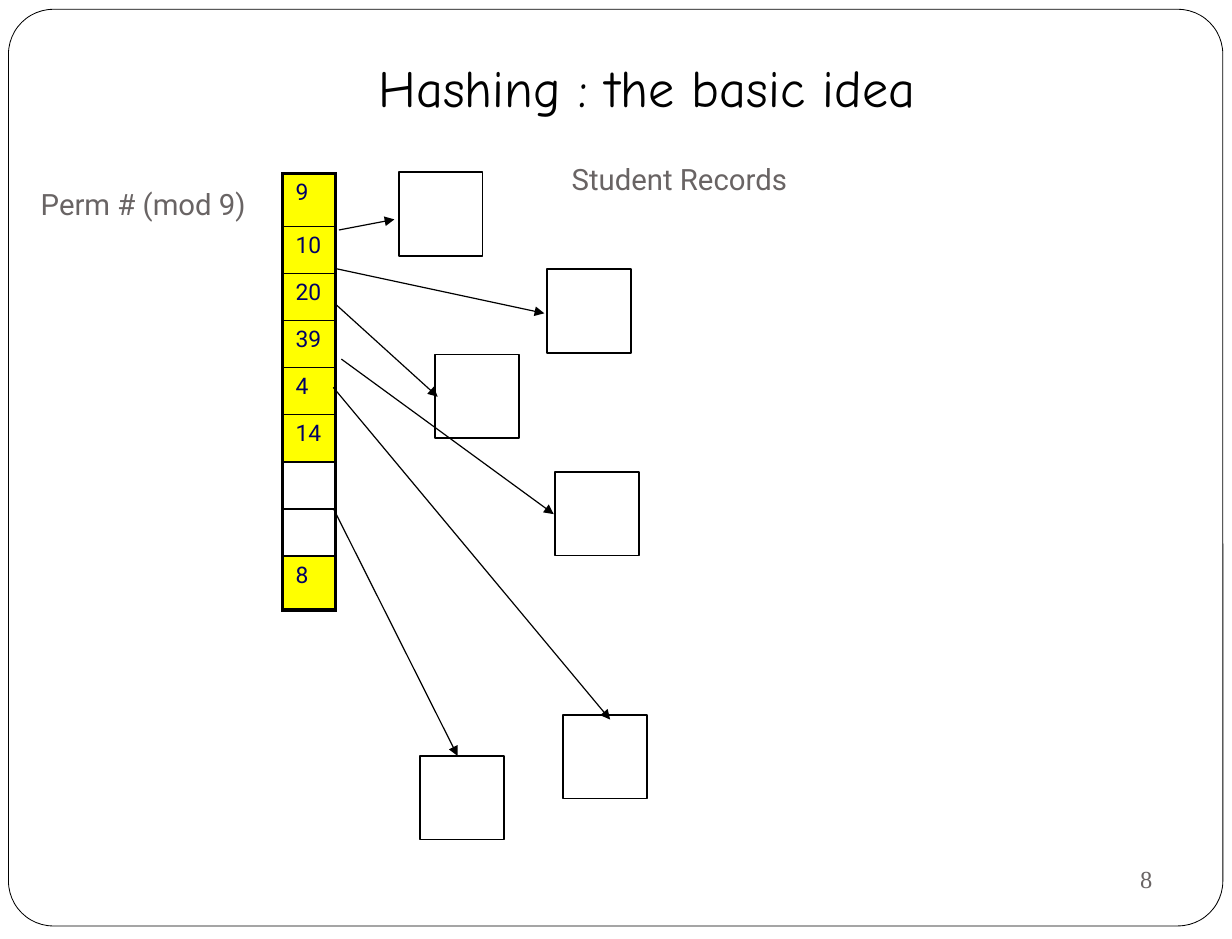
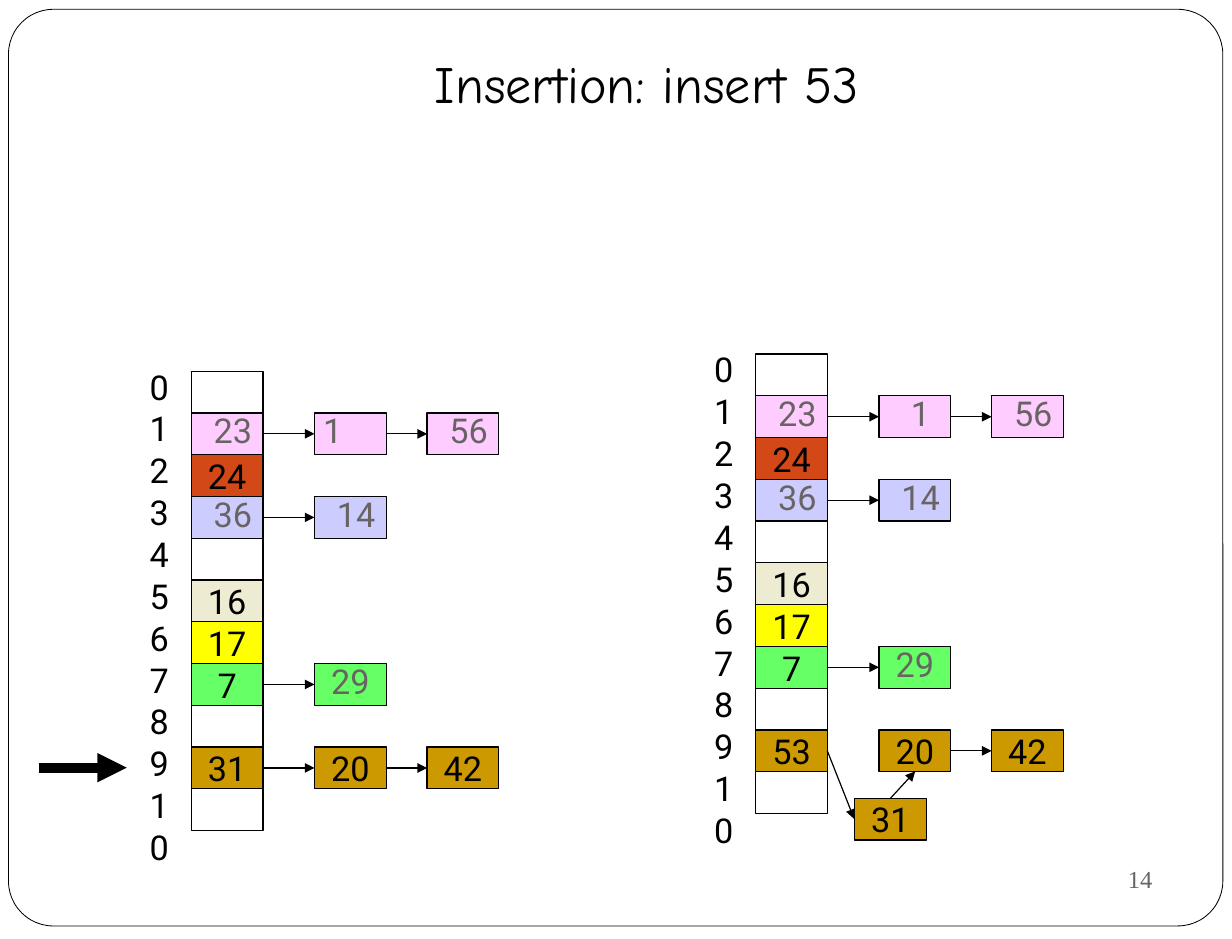
"""Build two slides on hashing: the basic idea, and inserting 53 into chained buckets."""
from dataclasses import dataclass
from itertools import pairwise

from lxml import etree
from pptx import Presentation
from pptx import util as u
from pptx.dml import color
from pptx.enum import shapes, text
from pptx.oxml import ns

COLORS = {
    "white": "FFFFFF", "black": "000000", "muted": "696464", "navy": "000066",
    "yellow": "FFFF00", "pink": "FFCCFF", "red": "D34817", "lilac": "CCCCFF",
    "cream": "EDECD2", "green": "66FF66", "gold": "CC9900",
}
BODY, TITLE, NUMBER = "Roboto", "Comic Neue", "Times New Roman"
CENTER, RIGHT = text.PP_ALIGN.CENTER, text.PP_ALIGN.RIGHT
SIDE, EDGE = 7.92, 3.6
NODE_WIDTH, ROW_HEIGHT, ROWS = 44, 25.62, 11
COLUMNS = (0, 75.6, 144.7)


@dataclass(frozen=True)
class Rect:
    """A place and size in points."""
    left: float
    top: float
    width: float
    height: float

    def lengths(self) -> tuple:
        """Give the four lengths for a shape call."""
        return tuple(u.Pt(n) for n in (self.left, self.top, self.width, self.height))


@dataclass(frozen=True)
class Style:
    """How a paragraph looks."""
    size: float
    font: str = BODY
    ink: str = "black"
    align: text.PP_ALIGN | None = CENTER
    spacing: float | None = None
    before: float | None = None


@dataclass(frozen=True)
class Node:
    """One value in a chain, with its side insets."""
    value: str
    ink: str = "black"
    left: float = SIDE
    right: float = SIDE


@dataclass(frozen=True)
class Chain:
    """The nodes of one bucket."""
    row: int
    fill: str
    nodes: tuple[Node, ...]
    first_link: bool = True


def rgb(name: str) -> color.RGBColor:
    """Look up a colour."""
    return color.RGBColor.from_string(COLORS[name])


def write(frame, lines: list[str], style: Style, insets=(SIDE, EDGE, SIDE, EDGE),
          anchor=text.MSO_ANCHOR.MIDDLE, wrap: bool = True) -> None:
    """Fill a text frame with equally styled paragraphs."""
    frame.word_wrap = wrap
    frame.vertical_anchor = anchor
    frame.margin_left, frame.margin_top, frame.margin_right, frame.margin_bottom = map(u.Pt, insets)
    for index, line in enumerate(lines):
        para = frame.add_paragraph() if index else frame.paragraphs[0]
        style_paragraph(para, line, style)


def style_paragraph(para, line: str, style: Style) -> None:
    """Set the words and look of one paragraph."""
    para.text = line
    para.alignment = style.align
    if style.spacing:
        para.line_spacing = style.spacing
    if style.before:
        para.space_before = u.Pt(style.before)
    para.font.size = u.Pt(style.size)
    para.font.name = style.font
    para.font.color.rgb = rgb(style.ink)


def add_box(page, rect: Rect, fill: str | None = None, line: float | None = None,
            kind=shapes.MSO_SHAPE.RECTANGLE):
    """Draw a plain preset shape."""
    box = page.shapes.add_shape(kind, *rect.lengths())
    box.shadow.inherit = False
    if fill:
        box.fill.solid()
        box.fill.fore_color.rgb = rgb(fill)
    else:
        box.fill.background()
    if line:
        box.line.color.rgb = rgb("black")
        box.line.width = u.Pt(line)
    else:
        box.line.fill.background()
    return box


def add_text(page, rect: Rect, lines: list[str], style: Style, **layout):
    """Place a text box."""
    box = page.shapes.add_textbox(*rect.lengths())
    write(box.text_frame, lines, style, **layout)
    return box


def add_arrow(page, start: tuple, end: tuple, width: float = 0.75) -> None:
    """Draw a straight arrow."""
    arrow = page.shapes.add_connector(shapes.MSO_CONNECTOR.STRAIGHT, *map(u.Pt, start + end))
    arrow.line.color.rgb = rgb("black")
    arrow.line.width = u.Pt(width)
    etree.SubElement(arrow.line._get_or_add_ln(), ns.qn("a:tailEnd"), type="triangle")
    etree.SubElement(arrow._element.spPr, ns.qn("a:effectLst"))


def add_page(deck, title: str, title_height: float, number: int):
    """Add a slide with the shared frame, title and number."""
    page = deck.slides.add_slide(deck.slide_layouts[6])
    frame = add_box(page, Rect(5.2, 5.7, 745.2, 562.3), "white", 0.5,
                    shapes.MSO_SHAPE.ROUNDED_RECTANGLE)
    frame.adjustments[0] = 0.049
    add_text(page, Rect(75.6, 23, 643, title_height), [title], Style(32, TITLE),
             insets=(SIDE, EDGE, SIDE, SIDE), anchor=text.MSO_ANCHOR.BOTTOM)
    add_text(page, Rect(510.5, 518.8, 204.5, 40.3), [str(number)],
             Style(15, NUMBER, "muted", RIGHT))
    return page


def set_borders(cell, widths: dict[str, float]) -> None:
    """Give a table cell black borders, ahead of its fill."""
    properties = cell._tc.get_or_add_tcPr()
    for index, (side, width) in enumerate(widths.items()):
        border = etree.Element(ns.qn(f"a:{side}"), w=str(u.Pt(width)))
        solid = etree.SubElement(border, ns.qn("a:solidFill"))
        etree.SubElement(solid, ns.qn("a:srgbClr"), val=COLORS["black"])
        properties.insert(index, border)


def add_hash_table(page, rect: Rect, values: list[str], heights: list[float]) -> None:
    """Draw the one-column table of keys."""
    table = page.shapes.add_table(len(values), 1, *rect.lengths()).table
    table.first_row = table.horz_banding = False
    table.columns[0].width = u.Pt(rect.width)
    last = len(values) - 1
    for index, (value, height) in enumerate(zip(values, heights)):
        table.rows[index].height = u.Pt(height)
        cell = table.cell(index, 0)
        cell.margin_left = cell.margin_right = u.Pt(SIDE)
        cell.margin_top = cell.margin_bottom = u.Pt(EDGE)
        style_paragraph(cell.text_frame.paragraphs[0], value,
                        Style(14, ink="navy", align=None, before=2.8))
        cell.fill.solid()
        cell.fill.fore_color.rgb = rgb("yellow" if value else "white")
        set_borders(cell, {"lnL": 2.25, "lnR": 2.25, "lnT": 1 if index else 2.25,
                           "lnB": 2.25 if index == last else 1})


def shifted(value: str, right: float = 0) -> Node:
    """Make a muted node with uneven insets."""
    return Node(value, "muted", 7.2, right)


def add_node(page, left: float, top: float, node: Node, fill: str) -> None:
    """Draw one filled node."""
    box = add_box(page, Rect(left, top, NODE_WIDTH, ROW_HEIGHT), fill, 0.75)
    muted = node.ink == "muted"
    style = Style(21, ink=node.ink, spacing=0.8 if muted else None, before=4.2 if muted else None)
    write(box.text_frame, [node.value], style, (node.left, EDGE, node.right, EDGE), wrap=False)


def add_buckets(page, left: float, top: float, chains: list[Chain]) -> None:
    """Draw a bucket column with its indexes and chains."""
    add_box(page, Rect(left, top, NODE_WIDTH, ROWS * ROW_HEIGHT), line=0.75)
    add_text(page, Rect(left - 38.8, top - 7.3, 38.2, 292.3), [str(n) for n in range(ROWS)],
             Style(21, spacing=1.02), anchor=text.MSO_ANCHOR.TOP)
    for chain in chains:
        row_top = top + chain.row * ROW_HEIGHT
        lefts = [left + offset for offset in COLUMNS[:len(chain.nodes)]]
        for node_left, node in zip(lefts, chain.nodes):
            add_node(page, node_left, row_top, node, chain.fill)
        middle = row_top + ROW_HEIGHT / 2
        links = list(pairwise(lefts))
        for start, end in links if chain.first_link else links[1:]:
            add_arrow(page, (start + NODE_WIDTH, middle), (end, middle))


def make_chains(second: Node, ninth: Chain) -> list[Chain]:
    """List the chains, given the two parts that vary."""
    return [
        Chain(1, "pink", (shifted("23"), second, shifted("56"))),
        Chain(2, "red", (Node("24"),)),
        Chain(3, "lilac", (shifted("36"), shifted("14"))),
        Chain(5, "cream", (Node("16"),)),
        Chain(6, "yellow", (Node("17"),)),
        Chain(7, "green", (Node("7"), Node("29", "muted", 0, 0))),
        ninth,
    ]


def build_idea(deck) -> None:
    """Build the slide on the basic idea."""
    page = add_page(deck, "Hashing : the basic idea", 57.2, 8)
    add_hash_table(page, Rect(173.5, 106.5, 32.4, 267.8),
                   ["9", "10", "20", "39", "4", "14", "", "", "8"], [32.4] + [28.9] * 7 + [33.1])
    for left, top in ((244.8, 105.5), (335.8, 165), (267, 217.5),
                      (340.6, 289.5), (345.6, 438.5), (257.8, 463.7)):
        add_box(page, Rect(left, top, 51.4, 51.4), line=1)
    for start, end in (((208, 141.1), (242, 134.6)), ((206.6, 164.9), (334, 192.2)),
                       ((206.6, 187.2), (268.6, 243.4)), ((204.5, 311.8), (280.8, 463.7)),
                       ((209.5, 220.3), (339.8, 315.4)), ((204.5, 237.6), (374.4, 441.4))):
        add_arrow(page, start, end)
    for label, rect in (("Perm # (mod 9)", Rect(34.6, 110.9, 106.6, 31.7)),
                        ("Student Records", Rect(331.2, 95.8, 171.4, 31.7))):
        box = add_box(page, rect, "white")
        write(box.text_frame, [label], Style(18, ink="muted", spacing=0.8, before=3.6), wrap=False)


def build_insertion(deck) -> None:
    """Build the slide on inserting 53."""
    page = add_page(deck, "Insertion: insert 53", 54.7, 14)
    tail = (Node("20"), Node("42"))
    add_buckets(page, 117.4, 227.7,
                make_chains(shifted("1", 28.8), Chain(9, "gold", (Node("31"), *tail))))
    add_arrow(page, (23.8, 470.9), (77.8, 470.9), 6)
    add_buckets(page, 463.8, 217.2,
                make_chains(shifted("1"), Chain(9, "gold", (Node("53"), *tail), False)))
    add_arrow(page, (507.6, 460.4), (524.2, 502.4))
    add_node(page, 524.4, 489.7, Node("31"), "gold")
    add_arrow(page, (546.5, 489.6), (561.6, 473.2))


def main() -> None:
    """Build and save the deck."""
    deck = Presentation()
    deck.slide_width, deck.slide_height = u.Pt(756), u.Pt(576)
    build_idea(deck)
    build_insertion(deck)
    deck.save("out.pptx")


main()
